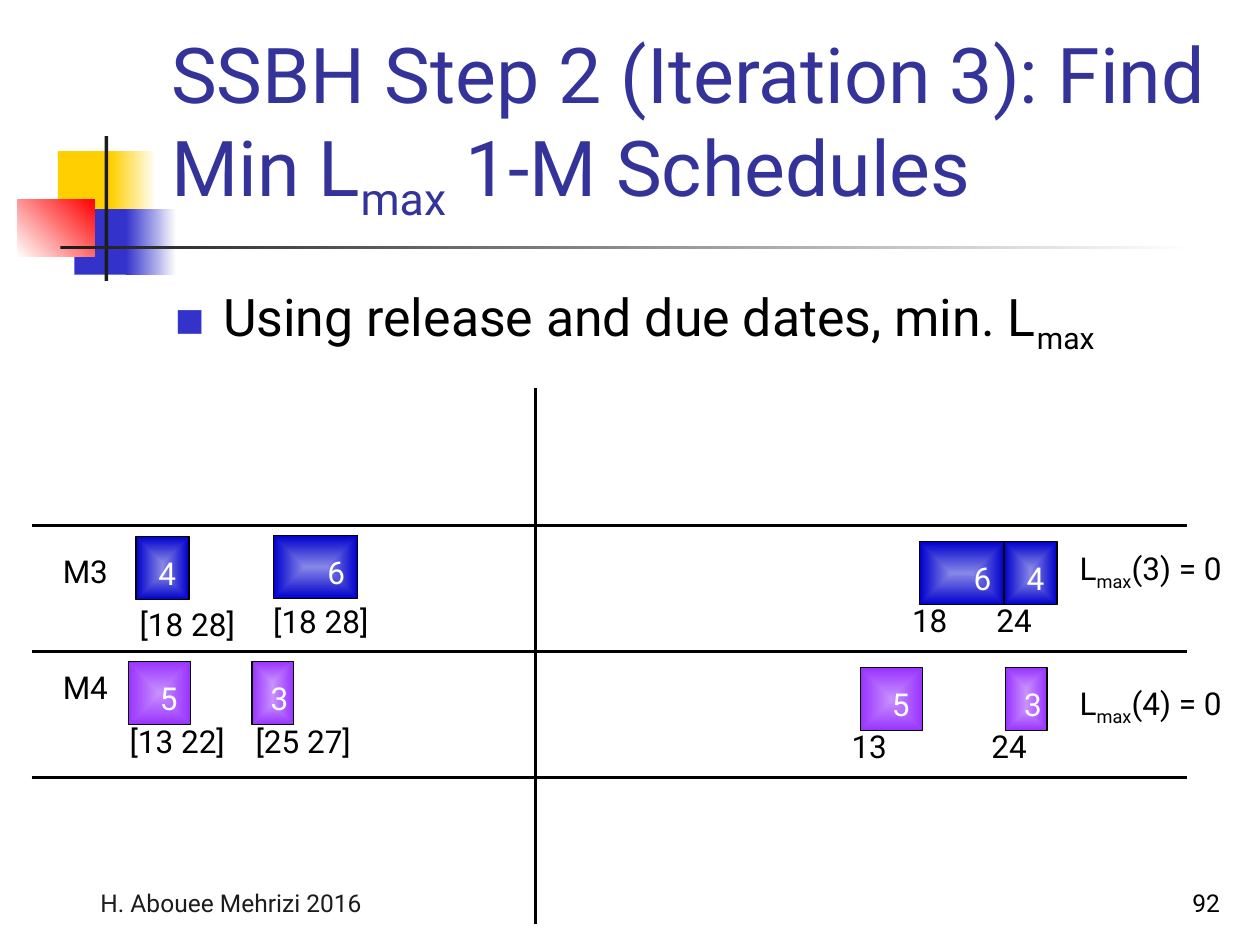
import pptx
import pptx.dml.color
import pptx.enum.shapes
import pptx.enum.text
import pptx.util
from lxml import etree
from pptx.oxml.ns import qn

PX = 9144
FONT = "Roboto"
RGB = pptx.dml.color.RGBColor
BLACK = RGB(0, 0, 0)
WHITE = RGB(255, 255, 255)
CHARCOAL = RGB(0x1C, 0x1C, 0x1C)
YELLOW = RGB(0xFF, 0xCF, 0x01)
RED = RGB(255, 0, 0)
ACCENT_BLUE = RGB(0x33, 0x33, 0xCC)
TITLE_BLUE = RGB(0x33, 0x33, 0x99)
BLUE_JOB = (RGB(0x87, 0x87, 0xE7), RGB(0, 0, 0xCC))
PURPLE_JOB = (RGB(0xC8, 0x91, 0xFF), RGB(0x99, 0x33, 0xFF))
ALIGN = pptx.enum.text.PP_ALIGN
ANCHOR = pptx.enum.text.MSO_ANCHOR
AUTO_SIZE = pptx.enum.text.MSO_AUTO_SIZE


def px(*lengths):
    return [pptx.util.Emu(length * PX) for length in lengths]


def write(paragraph, parts, size, color, align=ALIGN.LEFT):
    paragraph.alignment = align
    paragraph.font.name = FONT
    paragraph.font.size = pptx.util.Pt(size)
    paragraph.font.color.rgb = color
    for index, part in enumerate(parts):
        run = paragraph.add_run()
        run.text = part
        if index % 2:
            run._r.get_or_add_rPr().set("baseline", "-25000")


def add_label(shapes, parts, box, color=BLACK):
    label = shapes.add_textbox(*px(*box))
    label.text_frame.word_wrap = False
    label.text_frame.auto_size = AUTO_SIZE.SHAPE_TO_FIT_TEXT
    write(label.text_frame.paragraphs[0], parts, 18, color)


def add_block(shapes, box, colors, angle=0):
    block = shapes.add_shape(pptx.enum.shapes.MSO_SHAPE.RECTANGLE, *px(*box))
    block.shadow.inherit = False
    block.line.fill.background()
    if len(colors) == 1:
        block.fill.solid()
        block.fill.fore_color.rgb = colors[0]
    else:
        block.fill.gradient()
        block.fill.gradient_angle = angle
        for stop, position, color in zip(block.fill.gradient_stops, (0, 1), colors):
            stop.position = position
            stop.color.rgb = color
    return block


def add_job(shapes, box, digit, colors):
    left, top, width, height = box
    job = add_block(shapes, box, colors)
    job.line.fill.solid()
    job.line.color.rgb = BLACK
    job.line.width = pptx.util.Pt(0.75)
    gradient = job._element.spPr.find(qn("a:gradFill"))
    linear = gradient.find(qn("a:lin"))
    radiate = etree.Element(qn("a:path"), path="rect")
    etree.SubElement(radiate, qn("a:fillToRect"),
                     l="50000", t="50000", r="50000", b="50000")
    gradient.replace(linear, radiate)
    add_label(shapes, [digit], (left + max(width - 34, 5), top + 9, 34, 40), WHITE)


def add_schedule(slide, origin, colors, jobs, labels):
    left, top = origin
    shapes = slide.shapes.add_group_shape().shapes
    for digit, x, y, width in jobs:
        add_job(shapes, (left + x, top + y, width, 50), digit, colors)
    for parts, x, y, width in labels:
        height = 40 if len(parts) == 1 else 44
        add_label(shapes, parts, (left + x, top + y, width, height))


def add_ornament(slide, left, top):
    blocks = (
        ((32, 12, 48, 52), (YELLOW,), 0),
        ((74, 12, 36, 52), (YELLOW, WHITE), 0),
        ((45, 58, 46, 52), (ACCENT_BLUE,), 0),
        ((86, 58, 40, 52), (ACCENT_BLUE, WHITE), 0),
        ((0, 50, 61, 46), (WHITE, RED), 45),
        ((69, 0, 3, 115), (CHARCOAL,), 0),
        ((34, 87, 900, 3), (CHARCOAL, WHITE), 0),
    )
    for (x, y, width, height), colors, angle in blocks:
        add_block(slide.shapes, (left + x, top + y, width, height), colors, angle)


def fill_placeholder(placeholder, box, parts, size, color, anchor):
    placeholder.left, placeholder.top, placeholder.width, placeholder.height = px(*box)
    frame = placeholder.text_frame
    frame.word_wrap = True
    frame.auto_size = AUTO_SIZE.NONE
    frame.vertical_anchor = anchor
    write(frame.paragraphs[0], parts, size, color)
    return frame.paragraphs[0]


def add_heading(slide, box):
    fill_placeholder(slide.shapes.title, box,
                     ["SSBH Step 2 (Iteration 3): Find Min L", "max", " 1-M Schedules"],
                     44, TITLE_BLUE, ANCHOR.BOTTOM)


def add_body(slide, box):
    bullet = fill_placeholder(slide.placeholders[1], box,
                              ["Using release and due dates, min. L", "max"],
                              29.6, BLACK, ANCHOR.TOP)
    bullet.space_before = pptx.util.Pt(8)
    properties = bullet._p.get_or_add_pPr()
    indent = 38 * PX
    properties.set("marL", str(indent))
    properties.set("indent", str(-indent))
    bullet_color = etree.Element(qn("a:buClr"))
    etree.SubElement(bullet_color, qn("a:srgbClr"), val=str(ACCENT_BLUE))
    marks = (
        bullet_color,
        etree.Element(qn("a:buSzPct"), val="60000"),
        etree.Element(qn("a:buFont"), typeface=FONT),
        etree.Element(qn("a:buChar"), char="■"),
    )
    position = list(properties).index(properties.find(qn("a:spcBef"))) + 1
    for offset, mark in enumerate(marks):
        properties.insert(position + offset, mark)


def add_rule(slide, ends):
    rule = slide.shapes.add_connector(pptx.enum.shapes.MSO_CONNECTOR.STRAIGHT, *px(*ends))
    rule.line.color.rgb = BLACK
    rule.line.width = pptx.util.Pt(2)
    etree.SubElement(rule._element.spPr, qn("a:effectLst"))


def add_grid(slide, box):
    left, top, width, height = box
    for row in range(3):
        y = top + 109 + row * 100
        add_rule(slide, (left, y, left + width, y))
    add_rule(slide, (left + 400, top, left + 400, top + height))


def add_footer(slide, box, text, color, align):
    footer = slide.shapes.add_textbox(*px(*box))
    footer.text_frame.word_wrap = True
    footer.text_frame.vertical_anchor = ANCHOR.BOTTOM
    write(footer.text_frame.paragraphs[0], [text], 14, color, align)


def main():
    deck = pptx.Presentation()
    deck.slide_width, deck.slide_height = px(1000, 750)
    slide = deck.slides.add_slide(deck.slide_layouts[1])
    add_ornament(slide, 14, 108)
    add_heading(slide, (126, 23, 852, 160))
    add_body(slide, (129, 221, 850, 71))
    add_grid(slide, (25, 308, 917, 425))
    add_schedule(slide, (425, 417), BLUE_JOB,
                 (("4", 372, 13, 42), ("6", 305, 13, 67)),
                 ((["L", "max", "(3) = 0"], 422, 14, 133),
                  (["18"], 289, 55, 48), (["24"], 356, 55, 48)))
    add_schedule(slide, (425, 517), PURPLE_JOB,
                 (("5", 258, 13, 49), ("3", 373, 13, 33)),
                 ((["13"], 241, 55, 48), (["24"], 352, 55, 48),
                  (["L", "max", "(4) = 0"], 422, 21, 133)))
    add_schedule(slide, (25, 417), BLUE_JOB,
                 (("4", 83, 9, 42), ("6", 192, 8, 67)),
                 ((["M3"], 15, 16, 57),
                  (["[18 28]"], 76, 58, 100), (["[18 28]"], 182, 56, 100)))
    add_schedule(slide, (25, 517), PURPLE_JOB,
                 (("5", 77, 8, 49), ("3", 175, 8, 33)),
                 ((["M4"], 15, 8, 57),
                  (["[13 22]"], 68, 51, 100), (["[25 27]"], 168, 51, 100)))
    add_footer(slide, (25, 683, 317, 50), "H. Abouee Mehrizi 2016", CHARCOAL, ALIGN.CENTER)
    add_footer(slide, (770, 683, 208, 50), "92", BLACK, ALIGN.RIGHT)
    deck.save("out.pptx")


if __name__ == "__main__":
    main()
